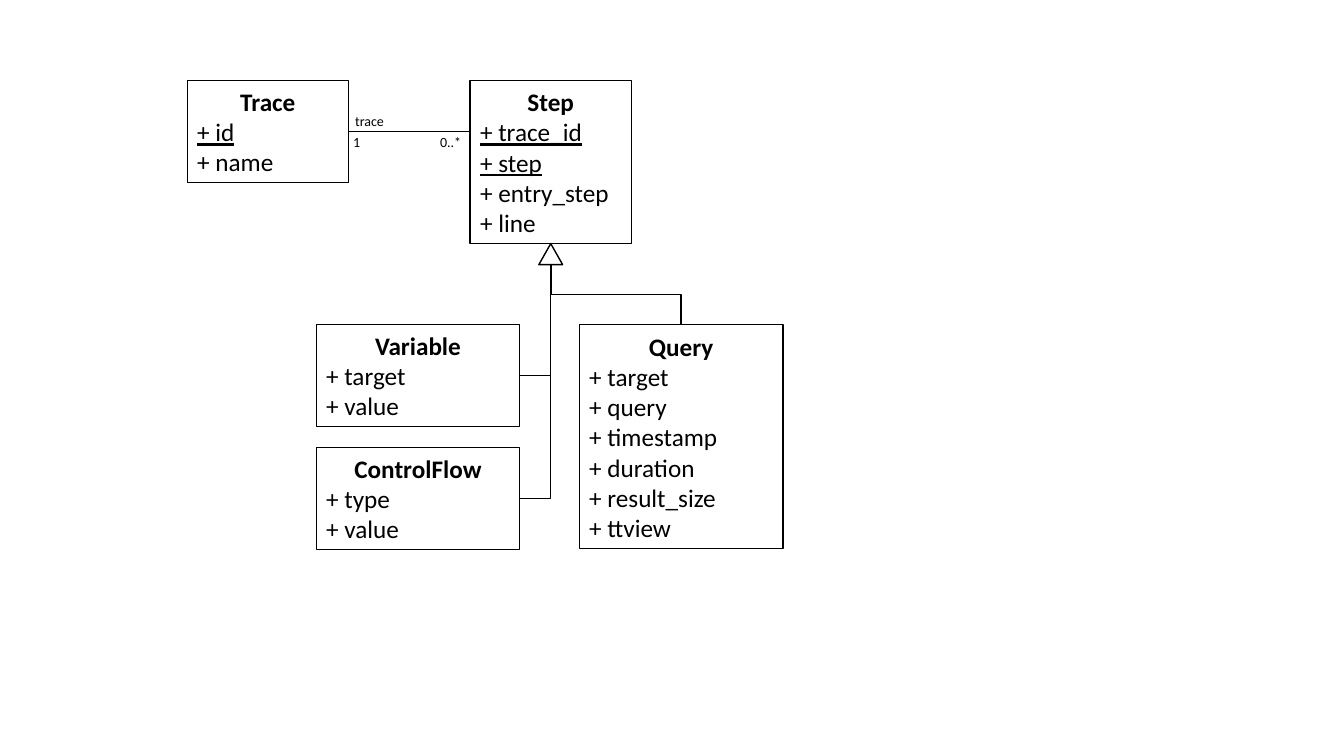
from dataclasses import dataclass

from lxml import etree
from pptx import Presentation
from pptx import util as u
from pptx.dml.color import RGBColor
from pptx.enum import shapes, text
from pptx.oxml import ns

Cm = u.Cm
LEFT, CENTER, RIGHT = text.PP_ALIGN.LEFT, text.PP_ALIGN.CENTER, text.PP_ALIGN.RIGHT


@dataclass(frozen=True)
class Theme:
    font: str = "Calibri"
    ink: RGBColor = RGBColor(0, 0, 0)
    paper: RGBColor = RGBColor(255, 255, 255)
    class_size: u.Pt = u.Pt(18)
    label_size: u.Pt = u.Pt(10)
    line_width: u.Pt = u.Pt(1)


THEME = Theme()


@dataclass(frozen=True)
class Box:
    """A rectangle in centimetres."""
    left: float
    top: float
    width: float
    height: float

    @property
    def right(self):
        return self.left + self.width

    @property
    def bottom(self):
        return self.top + self.height

    @property
    def center(self):
        return self.left + self.width / 2

    @property
    def middle(self):
        return self.top + self.height / 2

    def lengths(self):
        return Cm(self.left), Cm(self.top), Cm(self.width), Cm(self.height)


def class_box(left, top, width, attributes):
    """Size a class box by its heading and attribute lines."""
    return Box(left, top, width, 0.26 + 0.77 * (len(attributes) + 1))


def add_span(para, words, size, bold=False, underline=False):
    span = para.add_run()
    span.text = words
    font = span.font
    font.name, font.size, font.bold, font.underline = THEME.font, size, bold, underline
    font.color.rgb = THEME.ink


def add_outlined(page, kind, box):
    shape = page.shapes.add_shape(kind, *box.lengths())
    shape.shadow.inherit = False
    shape.fill.solid()
    shape.fill.fore_color.rgb = THEME.paper
    shape.line.color.rgb = THEME.ink
    shape.line.width = THEME.line_width
    return shape


def add_class(page, box, name, attributes, keys=()):
    """Class box: centred bold name, then attributes with underlined keys."""
    frame = add_outlined(page, shapes.MSO_SHAPE.RECTANGLE, box).text_frame
    frame.word_wrap = True
    frame.auto_size = text.MSO_AUTO_SIZE.SHAPE_TO_FIT_TEXT
    heading = frame.paragraphs[0]
    heading.alignment = CENTER
    add_span(heading, name, THEME.class_size, bold=True)
    for attribute in attributes:
        para = frame.add_paragraph()
        para.alignment = LEFT
        add_span(para, f"+ {attribute}", THEME.class_size, underline=attribute in keys)


def add_label(page, box, words, alignment=LEFT):
    frame = page.shapes.add_textbox(*box.lengths()).text_frame
    frame.word_wrap = False
    frame.auto_size = text.MSO_AUTO_SIZE.SHAPE_TO_FIT_TEXT
    para = frame.paragraphs[0]
    para.alignment = alignment
    add_span(para, words, THEME.label_size)


def add_line(page, kind, begin, end):
    line = page.shapes.add_connector(kind, *(Cm(value) for value in begin + end))
    line.line.color.rgb = THEME.ink
    line.line.width = THEME.line_width
    properties = line._element.spPr
    etree.SubElement(properties, ns.qn("a:effectLst"))
    return properties


def add_elbow(page, begin, end, preset):
    """Elbow leaving downwards: a frame turned about the midpoint of its ends."""
    (x1, y1), (x2, y2) = begin, end
    width, height = y2 - y1, abs(x2 - x1)
    frame = Box((x1 + x2 - width) / 2, (y1 + y2 - height) / 2, width, height)
    rightward = x2 > x1
    first, last = (frame.right, frame.left) if rightward else (frame.left, frame.right)
    properties = add_line(page, shapes.MSO_CONNECTOR.ELBOW,
                          (first, frame.top), (last, frame.bottom))
    properties.find(ns.qn("a:xfrm")).set("rot", str((270 if rightward else 90) * 60000))
    properties.find(ns.qn("a:prstGeom")).set("prst", preset)


def add_association(page, trace, step):
    """Line from Trace to Step with its role and multiplicities."""
    y = trace.middle
    add_line(page, shapes.MSO_CONNECTOR.STRAIGHT, (trace.right, y), (step.left, y))
    add_label(page, Box(trace.right - 0.08, y - 0.6, 1.24, 0.68), "trace")
    add_label(page, Box(trace.right - 0.13, y - 0.08, 0.68, 0.68), "1")
    add_label(page, Box(step.left - 1.02, y - 0.08, 1.04, 0.68), "0..*", RIGHT)


def add_inheritance(page, step, left_children, right_child):
    """Hollow arrowhead under Step with branches to its subclasses."""
    head = Box(step.center - 0.3, step.bottom, 0.6, 0.53)
    add_outlined(page, shapes.MSO_SHAPE.ISOSCELES_TRIANGLE, head)
    root = (head.center, head.bottom)
    for child in left_children:
        add_elbow(page, root, (child.right, child.middle), "bentConnector2")
    add_elbow(page, root, (right_child.center, right_child.top), "bentConnector3")


def build_class_diagram(page, area):
    classes = {  # name: left, top, width, attributes, keys
        "Trace": (0, 0, 4.06, ["id", "name"], ["id"]),
        "Step": (7.13, 0, 4.06, ["trace_id", "step", "entry_step", "line"],
                 ["trace_id", "step"]),
        "Variable": (3.25, 6.15, 5.13, ["target", "value"], []),
        "ControlFlow": (3.25, 9.25, 5.13, ["type", "value"], []),
        "Query": (9.88, 6.15, 5.13, ["target", "query", "timestamp", "duration",
                                    "result_size", "ttview"], []),
    }
    boxes = {}
    for name, (left, top, width, attributes, keys) in classes.items():
        boxes[name] = class_box(area.left + left, area.top + top, width, attributes)
        add_class(page, boxes[name], name, attributes, keys)
    add_association(page, boxes["Trace"], boxes["Step"])
    add_inheritance(page, boxes["Step"], [boxes["Variable"], boxes["ControlFlow"]],
                    boxes["Query"])


def main():
    deck = Presentation()
    deck.slide_width, deck.slide_height = Cm(33.87), Cm(19.05)
    page = deck.slides.add_slide(deck.slide_layouts[6])
    build_class_diagram(page, Box(4.72, 2.03, 15.01, 11.82))
    deck.save("out.pptx")


if __name__ == "__main__":
    main()
